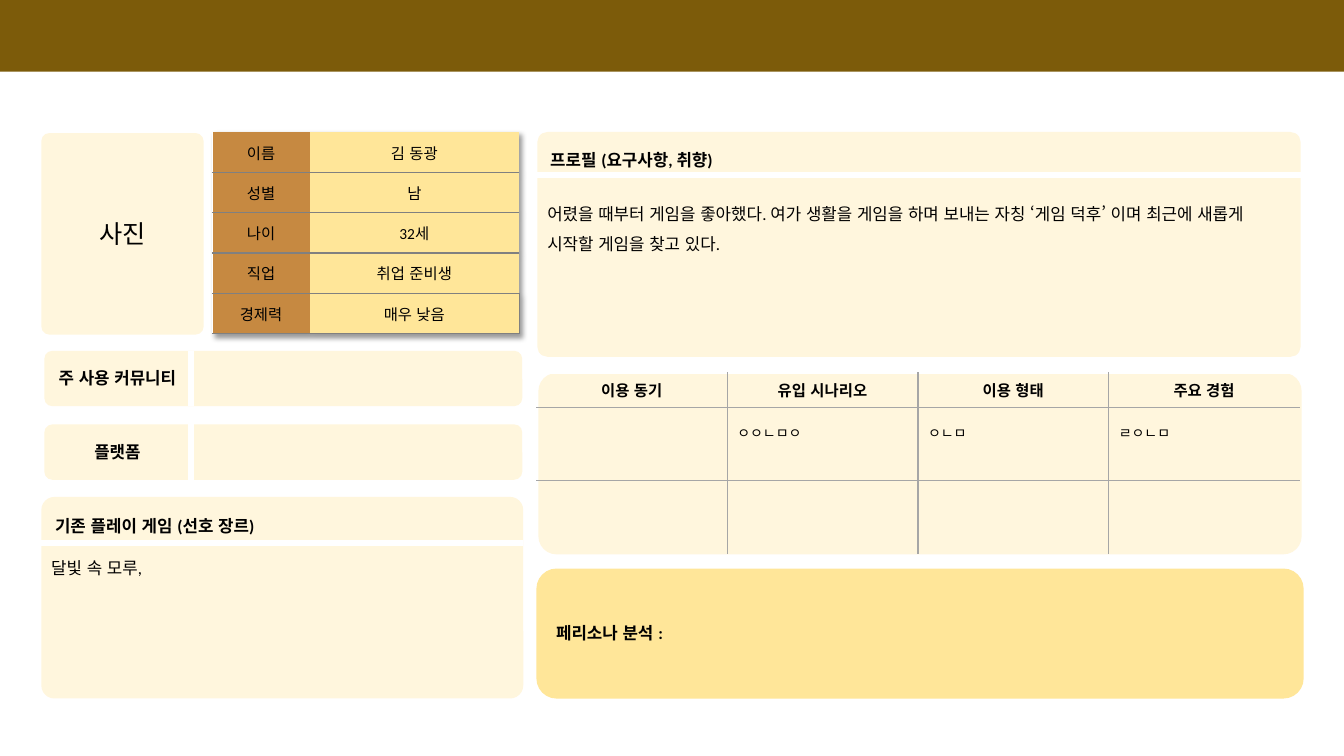
from lxml import etree
from pptx import Presentation
from pptx.dml.color import RGBColor
from pptx.enum.lang import MSO_LANGUAGE_ID
from pptx.enum.shapes import MSO_CONNECTOR, MSO_SHAPE
from pptx.enum.text import MSO_ANCHOR, PP_ALIGN
from pptx.oxml import parse_xml
from pptx.oxml.ns import nsdecls, qn
from pptx.util import Inches, Pt

LEFT, CENTER = PP_ALIGN.LEFT, PP_ALIGN.CENTER
TOP, MIDDLE = MSO_ANCHOR.TOP, MSO_ANCHOR.MIDDLE
RECTANGLE, ROUNDED = MSO_SHAPE.RECTANGLE, MSO_SHAPE.ROUNDED_RECTANGLE
STRAIGHT = MSO_CONNECTOR.STRAIGHT
KOREAN = MSO_LANGUAGE_ID.KOREAN

FONT = "Calibri"
BLACK, WHITE = "000000", "FFFFFF"
BROWN, TAN, YELLOW, CREAM = "7C5B0A", "C68941", "FFE699", "FFF6DD"
GRID_GRAY, ROW_GRAY = "A6A6A6", "808080"

PERSON = [("이름", "김 동광"), ("성별", "남"), ("나이", "32세"),
          ("직업", "취업 준비생"), ("경제력", "매우 낮음")]
USAGE = [("이용 동기", "유입 시나리오", "이용 형태", "주요 경험"),
         ("", "ㅇㅇㄴㅁㅇ", "ㅇㄴㅁ", "ㄹㅇㄴㅁ"),
         ("", "", "", "")]
PROFILE = ("어렸을 때부터 게임을 좋아했다. 여가 생활을 게임을 하며 보내는 자칭 "
           "‘게임 덕후’ 이며 최근에 새롭게 시작할 게임을 찾고 있다.")


def color(value):
    return RGBColor.from_string(value)


def write(frame, text, size=12, bold=False, align=LEFT, anchor=TOP, spacing=None):
    frame.word_wrap = True
    frame.vertical_anchor = anchor
    paragraph = frame.paragraphs[0]
    paragraph.alignment = align
    paragraph.line_spacing = spacing
    run = paragraph.add_run()
    run.text = text
    run.font.name, run.font.size, run.font.bold = FONT, Pt(size), bold
    run.font.language_id = KOREAN
    run.font.color.rgb = color(BLACK)


def add_panel(slide, left, top, width, height, fill, corner=None):
    shape = slide.shapes.add_shape(RECTANGLE if corner is None else ROUNDED,
                                   Inches(left), Inches(top), Inches(width), Inches(height))
    if corner is not None:
        shape.adjustments[0] = corner / min(width, height)
    shape.shadow.inherit = False
    shape.fill.solid()
    shape.fill.fore_color.rgb = color(fill)
    shape.line.fill.background()
    return shape


def add_label(slide, left, top, width, height, text, **style):
    box = slide.shapes.add_textbox(Inches(left), Inches(top), Inches(width), Inches(height))
    write(box.text_frame, text, **style)


def add_divider(slide, start_x, start_y, end_x, end_y):
    line = slide.shapes.add_connector(STRAIGHT, Inches(start_x), Inches(start_y),
                                      Inches(end_x), Inches(end_y))
    line.line.color.rgb = color(WHITE)
    line.line.width = Pt(4.25)
    etree.SubElement(line._element.spPr, qn("a:effectLst"))


def set_borders(cell, **sides):
    """Sides are left, right, top and bottom colours; a missing side has no line."""
    properties = cell._tc.get_or_add_tcPr()
    for index, side in enumerate(("left", "right", "top", "bottom")):
        value = sides.get(side)
        fill = (f'<a:solidFill><a:srgbClr val="{value}"/></a:solidFill>'
                if value else "<a:noFill/>")
        tag = "ln" + side[0].upper()
        properties.insert(index, parse_xml(
            f'<a:{tag} {nsdecls("a")} w="12700">{fill}</a:{tag}>'))


def add_plain_table(slide, left, top, widths, heights):
    table = slide.shapes.add_table(len(heights), len(widths), Inches(left), Inches(top),
                                   Inches(sum(widths)), Inches(sum(heights))).table
    table.first_row = table.horz_banding = False
    for column, width in zip(table.columns, widths):
        column.width = Inches(width)
    for row, height in zip(table.rows, heights):
        row.height = Inches(height)
    return table


def add_person_table(slide, left, top, width, height):
    name_width = 0.96
    table = add_plain_table(slide, left, top, [name_width, width - name_width],
                            [height / len(PERSON)] * len(PERSON))
    # Soft shadow below and to the right
    table._tbl.tblPr.insert(0, parse_xml(
        f'<a:effectLst {nsdecls("a")}><a:outerShdw blurRad="50800" dist="38100" '
        'dir="2700000" algn="tl" rotWithShape="0"><a:srgbClr val="000000">'
        '<a:alpha val="40000"/></a:srgbClr></a:outerShdw></a:effectLst>'))
    for row, texts in enumerate(PERSON):
        for column, (text, fill) in enumerate(zip(texts, (TAN, YELLOW))):
            cell = table.cell(row, column)
            write(cell.text_frame, text, size=11, align=CENTER)
            cell.vertical_anchor = MIDDLE
            cell.fill.solid()
            cell.fill.fore_color.rgb = color(fill)
            last = row == len(PERSON) - 1 and column == 1
            set_borders(cell, left=None if column else WHITE,
                        right=ROW_GRAY if last else None,
                        top=ROW_GRAY if row else None, bottom=ROW_GRAY)


def add_usage_table(slide, left, top, width, height):
    add_panel(slide, left + 0.02, top, width, height, CREAM, 0.18)
    columns, header = len(USAGE[0]), 0.34
    table = add_plain_table(slide, left, top, [width / columns] * columns,
                            [header] + [(height - header) / 2] * 2)
    for row, texts in enumerate(USAGE):
        for column, text in enumerate(texts):
            cell = table.cell(row, column)
            if row == 0:
                write(cell.text_frame, text, size=11, bold=True, align=CENTER)
                cell.vertical_anchor = MIDDLE
            elif text:
                write(cell.text_frame, text, size=10, spacing=1.5)
            cell.fill.background()
            set_borders(cell, left=GRID_GRAY if column else None,
                        right=GRID_GRAY if column < columns - 1 else None,
                        top=GRID_GRAY if row else WHITE,
                        bottom=GRID_GRAY if row < len(USAGE) - 1 else None)


def add_titled_panel(slide, left, top, width, height, title, body, title_height, body_top, corner):
    panel = add_panel(slide, left, top, width, height, CREAM, corner)
    write(panel.text_frame, title, bold=True, spacing=1.5)
    add_divider(slide, left, top + title_height, left + width, top + title_height)
    add_label(slide, left, top + body_top, width, height - body_top - 0.1, body, spacing=1.5)


def add_field(slide, left, top, width, height, text):
    label_width = 1.45
    add_panel(slide, left, top, width, height, CREAM, 0.08)
    add_label(slide, left, top + 0.12, label_width, 0.3, text, bold=True, align=CENTER)
    add_divider(slide, left + label_width, top, left + label_width, top + height)


def add_analysis(slide, left, top, width, height):
    add_panel(slide, left, top, width, height, YELLOW, 0.2)
    add_label(slide, left, top + 0.49, 1.45, 0.3, "페리소나 분석 :", bold=True, align=CENTER)


def main():
    presentation = Presentation()
    presentation.slide_width, presentation.slide_height = Inches(13.33), Inches(7.5)
    slide = presentation.slides.add_slide(presentation.slide_layouts[6])

    # Top band
    add_panel(slide, 0, 0, 13.33, 0.71, BROWN)

    # Left column: photo, personal data, fields, games
    photo = add_panel(slide, 0.41, 1.32, 1.61, 2, CREAM, 0.08)
    write(photo.text_frame, "사진", size=18, align=CENTER, anchor=MIDDLE)
    add_person_table(slide, 2.11, 1.31, 3.04, 2)
    for index, text in enumerate(("주 사용 커뮤니티", "플랫폼")):
        add_field(slide, 0.44, 3.48 + 0.73 * index, 4.74, 0.55, text)
    add_titled_panel(slide, 0.41, 4.93, 4.78, 2, "기존 플레이 게임 (선호 장르)",
                     "달빛 속 모루,", 0.46, 0.45, 0.13)

    # Right column: profile, usage, analysis
    add_titled_panel(slide, 5.33, 1.31, 7.57, 2.23, "프로필 (요구사항, 취향)",
                     PROFILE, 0.43, 0.56, 0.1)
    add_usage_table(slide, 5.32, 3.7, 7.57, 1.8)
    add_analysis(slide, 5.32, 5.64, 7.61, 1.29)

    presentation.save("out.pptx")


if __name__ == "__main__":
    main()
